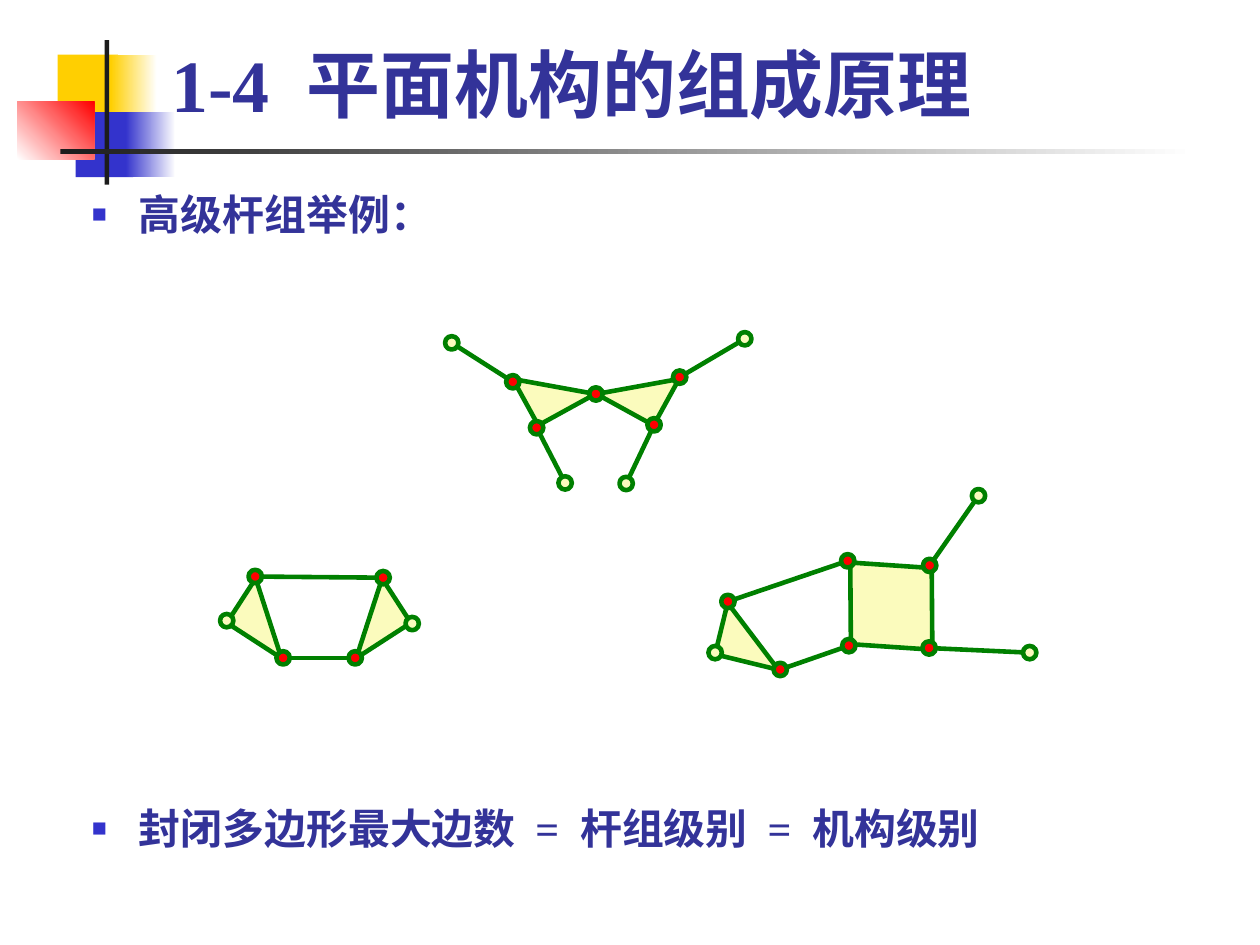
from lxml import etree
from pptx import Presentation
from pptx.dml.color import RGBColor
from pptx.enum.shapes import MSO_CONNECTOR, MSO_SHAPE
from pptx.enum.text import MSO_ANCHOR
from pptx.oxml.ns import qn
from pptx.util import Cm, Pt

RECTANGLE = MSO_SHAPE.RECTANGLE
OVAL = MSO_SHAPE.OVAL
TRIANGLE = MSO_SHAPE.RIGHT_TRIANGLE
DIAMOND = MSO_SHAPE.DIAMOND
STRAIGHT = MSO_CONNECTOR.STRAIGHT
MIDDLE = MSO_ANCHOR.MIDDLE
TOP = MSO_ANCHOR.TOP

FONT = "Times New Roman"
INK = "333399"
BLUE = "3333CC"
YELLOW = "FFCF01"
RED = "FF0000"
WHITE = "FFFFFF"
BLACK = "1C1C1C"
GREEN = "008000"
CREAM = "FBFBBD"

LINK_WIDTH = Pt(2.25)
JOINT_SIZE = 0.23
TRIANGLE_SIZE = (1.12, 0.91)

# left, top, width, height, colours (two make a gradient), gradient angle
DECORATION = [
    (0.99, 0.94, 1.04, 1.12, [YELLOW], 0),
    (1.91, 0.94, 0.79, 1.12, [YELLOW, WHITE], 0),
    (1.3, 1.93, 0.99, 1.12, [BLUE], 0),
    (2.16, 1.93, 0.86, 1.12, [BLUE, WHITE], 0),
    (0.3, 1.75, 1.32, 0.99, [WHITE, RED], 45),
    (1.8, 0.69, 0.08, 2.49, [BLACK], 0),
    (1.04, 2.57, 19.51, 0.08, [BLACK, WHITE], 0),
]

# Plates: preset, centre, size, rotation, flipped.
# Links: pairs of indexes into the pinned joints followed by the free joints.
BUTTERFLY = {
    "plates": [
        (TRIANGLE, (10.97, 6.65), TRIANGLE_SIZE, 28.8, True),
        (TRIANGLE, (9.53, 6.65), TRIANGLE_SIZE, 331.2, False),
    ],
    "pinned": [(8.82, 6.57), (9.23, 7.36), (10.25, 6.78), (11.69, 6.49), (11.25, 7.31)],
    "free": [(7.77, 5.9), (9.72, 8.31), (12.81, 5.83), (10.77, 8.32)],
    "links": [(0, 5), (1, 6), (3, 7), (4, 8)],
}
FOUR_BAR = {
    "plates": [
        (TRIANGLE, (6.35, 10.64), TRIANGLE_SIZE, 327.1, True),
        (TRIANGLE, (4.62, 10.64), TRIANGLE_SIZE, 33, False),
    ],
    "pinned": [(4.87, 11.32), (6.11, 11.32), (4.39, 9.92), (6.59, 9.94)],
    "free": [(3.9, 10.68), (7.09, 10.73)],
    "links": [(0, 1), (2, 3)],
}
SQUARE_PLATE = {
    "plates": [
        (DIAMOND, (15.33, 10.43), (1.91, 2.06), 316.7, False),
        (TRIANGLE, (12.95, 10.95), TRIANGLE_SIZE, 13.7, False),
    ],
    "pinned": [(13.42, 11.52), (14.6, 11.11), (12.52, 10.35),
               (14.58, 9.65), (15.99, 9.73), (15.98, 11.15)],
    "free": [(12.3, 11.23), (16.83, 8.53), (17.71, 11.23)],
    "links": [(0, 1), (2, 3), (4, 7), (5, 8)],
}


def colour(value):
    return RGBColor.from_string(value)


def add_block(page, left, top, width, height, colours, angle):
    block = page.shapes.add_shape(RECTANGLE, Cm(left), Cm(top), Cm(width), Cm(height))
    block.shadow.inherit = False
    block.line.fill.background()
    if len(colours) == 1:
        block.fill.solid()
        block.fill.fore_color.rgb = colour(colours[0])
        return
    block.fill.gradient()
    block.fill.gradient_angle = angle
    for stop, value in zip(block.fill.gradient_stops, colours):
        stop.color.rgb = colour(value)


def add_part(group, preset, centre, size, fill, rotation=0, flipped=False):
    """Add one green-edged plate or joint around its centre."""
    (x, y), (width, height) = centre, size
    part = group.shapes.add_shape(
        preset, Cm(x - width / 2), Cm(y - height / 2), Cm(width), Cm(height))
    part.shadow.inherit = False
    part.fill.solid()
    part.fill.fore_color.rgb = colour(fill)
    part.line.color.rgb = colour(GREEN)
    part.line.width = LINK_WIDTH
    part.rotation = rotation
    if flipped:
        part._element.spPr.find(qn("a:xfrm")).set("flipH", "1")


def add_link(group, start, end):
    link = group.shapes.add_connector(STRAIGHT, *(Cm(value) for value in start + end))
    link.line.color.rgb = colour(GREEN)
    link.line.width = LINK_WIDTH
    etree.SubElement(link._element.spPr, qn("a:effectLst"))


def add_linkage(page, plates, pinned, free, links):
    group = page.shapes.add_group_shape()
    for preset, centre, size, rotation, flipped in plates:
        add_part(group, preset, centre, size, CREAM, rotation, flipped)
    joints = pinned + free
    for start, end in links:
        add_link(group, joints[start], joints[end])
    for centres, fill in ((pinned, RED), (free, CREAM)):
        for centre in centres:
            add_part(group, OVAL, centre, (JOINT_SIZE, JOINT_SIZE), fill)


def add_bullet(para):
    properties = para._p.get_or_add_pPr()
    properties.set("marL", str(Cm(0.81)))
    properties.set("indent", str(-Cm(0.81)))
    bullet_colour = etree.SubElement(properties, qn("a:buClr"))
    etree.SubElement(bullet_colour, qn("a:srgbClr"), val=BLUE)
    etree.SubElement(properties, qn("a:buSzPct"), val="60000")
    etree.SubElement(properties, qn("a:buFont"), typeface=FONT)
    etree.SubElement(properties, qn("a:buChar"), char="■")


def add_span(para, text, size):
    span = para.add_run()
    span.text = text
    span.font.name = FONT
    span.font.size = Pt(size)
    span.font.bold = True
    span.font.color.rgb = colour(INK)
    return span


def add_text(page, text, left, top, width, height, size, anchor=TOP, bullet=False):
    """Add one bold line whose word spaces are widened by a quarter em."""
    box = page.shapes.add_textbox(Cm(left), Cm(top), Cm(width), Cm(height))
    frame = box.text_frame
    frame.word_wrap = True
    frame.vertical_anchor = anchor
    frame.margin_left = frame.margin_right = Cm(0.23)
    frame.margin_top = frame.margin_bottom = Cm(0.1)
    para = frame.paragraphs[0]
    if bullet:
        add_bullet(para)
    for index, word in enumerate(text.split(" ")):
        if index:
            space = add_span(para, " ", size)
            space.font._element.set("spc", str(round(size * 25)))
        add_span(para, word, size)


def main():
    deck = Presentation()
    deck.slide_width, deck.slide_height = Cm(21.67), Cm(16.26)
    page = deck.slides.add_slide(deck.slide_layouts[6])
    for block in DECORATION:
        add_block(page, *block)
    add_text(page, "1-4 平面机构的组成原理", 2.72, 0.56, 18.47, 1.75, size=36, anchor=MIDDLE)
    for text, top in (("高级杆组举例：", 3.15),
                      ("封闭多边形最大边数 = 杆组级别 = 机构级别", 13.72)):
        add_text(page, text, 1.35, top, 19.79, 1.25, size=20.4, bullet=True)
    for linkage in (BUTTERFLY, FOUR_BAR, SQUARE_PLATE):
        add_linkage(page, **linkage)
    deck.save("out.pptx")


if __name__ == "__main__":
    main()
